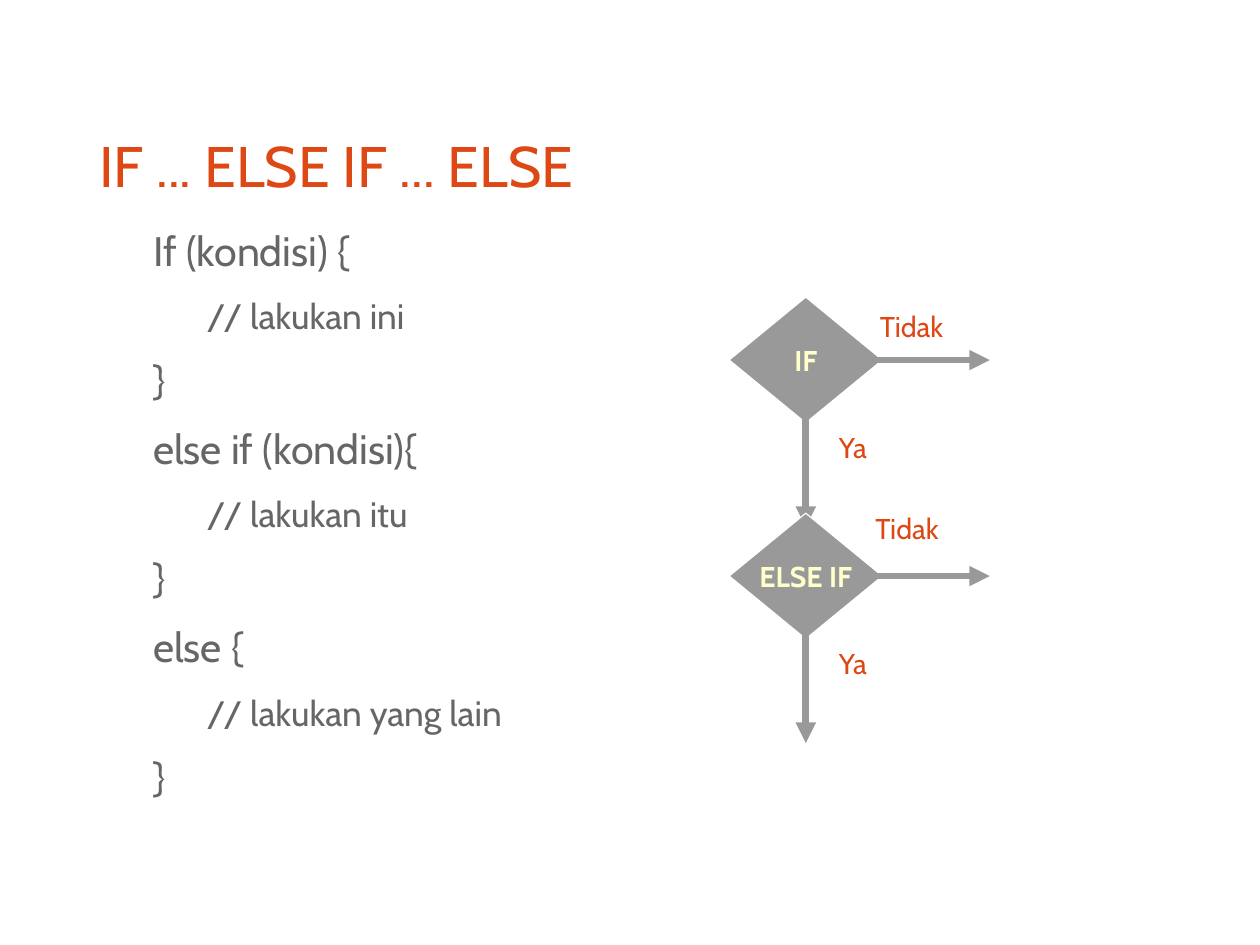
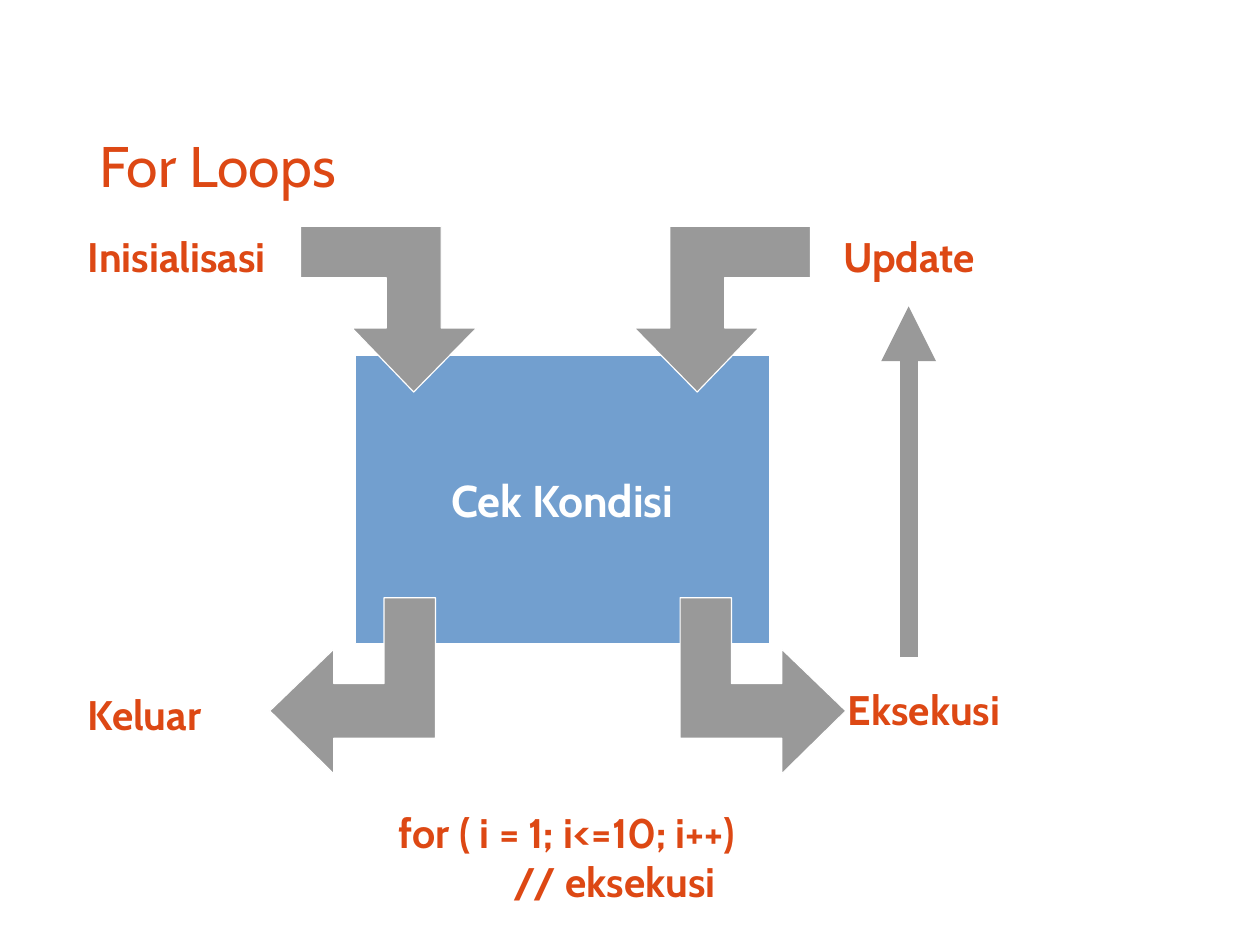
from dataclasses import dataclass

from lxml.etree import SubElement
from pptx import Presentation
from pptx.dml.color import RGBColor
from pptx.enum.shapes import MSO_CONNECTOR, MSO_SHAPE
from pptx.enum.text import MSO_ANCHOR, PP_ALIGN
from pptx.oxml.ns import qn
from pptx.util import Inches, Pt


@dataclass(frozen=True)
class Theme:
    font: str = "Cabin"
    accent: str = "DD4814"
    body: str = "666666"
    gray: str = "999999"
    blue: str = "729FCF"
    cream: str = "FFFFCC"
    white: str = "FFFFFF"
    title_size: float = 36
    box_size: float = 28
    label_size: float = 26
    code_sizes: tuple = (25.9, 22.2)
    code_spacing: tuple = (12.4, 11.3)
    small_size: float = 18
    flow_line: float = 4.31
    loop_line: float = 11.5


THEME = Theme()
CM_PER_INCH = 2.54
SLIDE_WIDTH = Inches(28 / CM_PER_INCH)
SLIDE_HEIGHT = Inches(21 / CM_PER_INCH)
TITLE_BOX = (0.87, 1.02, 9.25, 0.84)
CODE_BOX = (0.87, 1.97, 9.25, 4.76)
CODE_INDENT = 0.47
CODE_LINES = [
    (0, "If (kondisi) {"),
    (1, "// lakukan ini"),
    (0, "}"),
    (0, "else if (kondisi){"),
    (1, "// lakukan itu"),
    (0, "}"),
    (0, "else {"),
    (1, "// lakukan yang lain"),
    (0, "}"),
]

DIAMOND_SIZE = (1.34, 1.1)
LABEL_SIZE = (2.28, 0.59)
ARROW_WIDTH, ARROW_HEIGHT = 1.45, 1.54
ARROW_POINTS = [
    (0.56, 0.45), (0.56, 0.75), (1, 0.75), (1, 0), (1.45, 0),
    (1.45, 1.23), (0.56, 1.23), (0.56, 1.54), (0, 0.99),
]


def set_attributes(target, values):
    for name, value in values.items():
        setattr(target, name, value)


def write_paragraph(paragraph, text, size, color, bold=False, indent=0, **layout):
    run = paragraph.add_run()
    run.text = text
    set_attributes(run.font, {"name": THEME.font, "size": Pt(size), "bold": bold})
    run.font.color.rgb = RGBColor.from_string(color)
    set_attributes(paragraph, layout)
    if indent:
        properties = paragraph._p.get_or_add_pPr()
        properties.set("marL", str(Inches(indent)))
        properties.set("indent", "0")


def add_text(slide, box, lines, inset=True, anchor=MSO_ANCHOR.TOP):
    """Add a wrapping text box; each line is a dict for write_paragraph."""
    frame = slide.shapes.add_textbox(*map(Inches, box)).text_frame
    set_attributes(frame, {"word_wrap": True, "vertical_anchor": anchor})
    if not inset:
        sides = ("margin_left", "margin_top", "margin_right", "margin_bottom")
        set_attributes(frame, dict.fromkeys(sides, 0))
    for index, line in enumerate(lines):
        paragraph = frame.add_paragraph() if index else frame.paragraphs[0]
        write_paragraph(paragraph, **line)


def add_label(slide, box, text, size, bold=False):
    add_text(slide, box, [dict(text=text, size=size, color=THEME.accent, bold=bold)])


def add_title(slide, text):
    line = dict(text=text, size=THEME.title_size, color=THEME.accent)
    add_text(slide, TITLE_BOX, [line], inset=False, anchor=MSO_ANCHOR.MIDDLE)


def paint(shape, fill):
    """Give a shape a flat fill and a white hairline."""
    shape.shadow.inherit = False
    shape.fill.solid()
    shape.fill.fore_color.rgb = RGBColor.from_string(fill)
    shape.line.color.rgb = RGBColor.from_string(THEME.white)
    shape.line.width = Pt(0)


def add_node(slide, kind, box, text, fill, size, color):
    shape = slide.shapes.add_shape(kind, *map(Inches, box))
    paint(shape, fill)
    frame = shape.text_frame
    set_attributes(frame, {"word_wrap": False, "vertical_anchor": MSO_ANCHOR.MIDDLE})
    write_paragraph(frame.paragraphs[0], text, size, color, bold=True,
                    alignment=PP_ALIGN.CENTER)


def add_arrow(slide, start, end, width):
    connector = slide.shapes.add_connector(
        MSO_CONNECTOR.STRAIGHT, *map(Inches, (*start, *end)))
    connector.line.color.rgb = RGBColor.from_string(THEME.gray)
    connector.line.width = Pt(width)
    SubElement(connector.line._get_or_add_ln(), qn("a:tailEnd"), type="triangle")
    SubElement(connector._element.spPr, qn("a:effectLst"))


def add_bent_arrow(slide, left, top, turned=False, mirrored=False):
    """Draw the bent arrow, a quarter turned to point down, or mirrored."""
    points, width = ARROW_POINTS, ARROW_WIDTH
    if turned:
        points = [(y, ARROW_WIDTH - x) for x, y in points]
        width = ARROW_HEIGHT
    if mirrored:
        points = [(width - x, y) for x, y in points]
    corners = [(Inches(left + x), Inches(top + y)) for x, y in points]
    builder = slide.shapes.build_freeform(*corners[0])
    builder.add_line_segments(corners[1:], close=True)
    paint(builder.convert_to_shape(), THEME.gray)


def add_code(slide, box):
    lines = [
        dict(text=text, size=THEME.code_sizes[level], color=THEME.body,
             indent=CODE_INDENT * (level + 1),
             space_after=Pt(THEME.code_spacing[level]))
        for level, text in CODE_LINES
    ]
    add_text(slide, box, lines, inset=False)


def add_decision(slide, left, top, text, no_offset):
    """Place a diamond with its yes arrow downwards and no arrow to the right."""
    add_node(slide, MSO_SHAPE.DIAMOND, (left, top, *DIAMOND_SIZE), text,
             THEME.gray, THEME.small_size, THEME.cream)
    middle_x, middle_y = left + DIAMOND_SIZE[0] / 2, top + DIAMOND_SIZE[1] / 2
    add_arrow(slide, (middle_x, top + 1.06), (middle_x, top + 2.01), THEME.flow_line)
    add_arrow(slide, (left + 1.26, middle_y), (left + 2.28, middle_y), THEME.flow_line)
    for (x, y), answer in (((0.86, 1.11), "Ya"), (no_offset, "Tidak")):
        add_label(slide, (left + x, top + y, 1.34, 0.44), answer, THEME.small_size)


def add_loop_diagram(slide, left, top):
    """Place the condition box with its arrows and labels around it."""
    add_node(slide, MSO_SHAPE.RECTANGLE, (left, top, 3.62, 2.52), "Cek Kondisi",
             THEME.blue, THEME.box_size, THEME.white)
    for x, y, turned, mirrored in (
        (-0.48, -1.13, True, False),
        (-0.75, 2.12, False, False),
        (2.84, 2.12, False, True),
        (2.44, -1.13, True, True),
    ):
        add_bent_arrow(slide, left + x, top + y, turned, mirrored)
    for x, y, text in (
        (-2.44, -1.14, "Inisialisasi"),
        (4.17, -1.14, "Update"),
        (-2.44, 2.87, "Keluar"),
        (4.21, 2.83, "Eksekusi"),
    ):
        add_label(slide, (left + x, top + y, *LABEL_SIZE), text,
                  THEME.label_size, bold=True)
    update_x = left + 4.84
    add_arrow(slide, (update_x, top + 2.64), (update_x, top - 0.43), THEME.loop_line)


def add_loop_code(slide, box):
    style = dict(size=THEME.label_size, color=THEME.accent, bold=True)
    add_text(slide, box, [
        dict(text="for ( i = 1; i<=10; i++)", **style),
        dict(text="// eksekusi", indent=1, **style),
    ])


def build_condition_slide(slide):
    add_title(slide, "IF ... ELSE IF ... ELSE")
    add_code(slide, CODE_BOX)
    add_decision(slide, 6.38, 2.6, "IF", (1.22, 0.05))
    add_decision(slide, 6.38, 4.49, "ELSE IF", (1.18, -0.07))


def build_loop_slide(slide):
    add_title(slide, "For Loops")
    add_loop_diagram(slide, 3.11, 3.11)
    add_loop_code(slide, (3.39, 7.01, 4.17, 1.09))


def main():
    presentation = Presentation()
    presentation.slide_width = SLIDE_WIDTH
    presentation.slide_height = SLIDE_HEIGHT
    blank = presentation.slide_layouts[6]
    for build in (build_condition_slide, build_loop_slide):
        build(presentation.slides.add_slide(blank))
    presentation.save("out.pptx")


if __name__ == "__main__":
    main()
